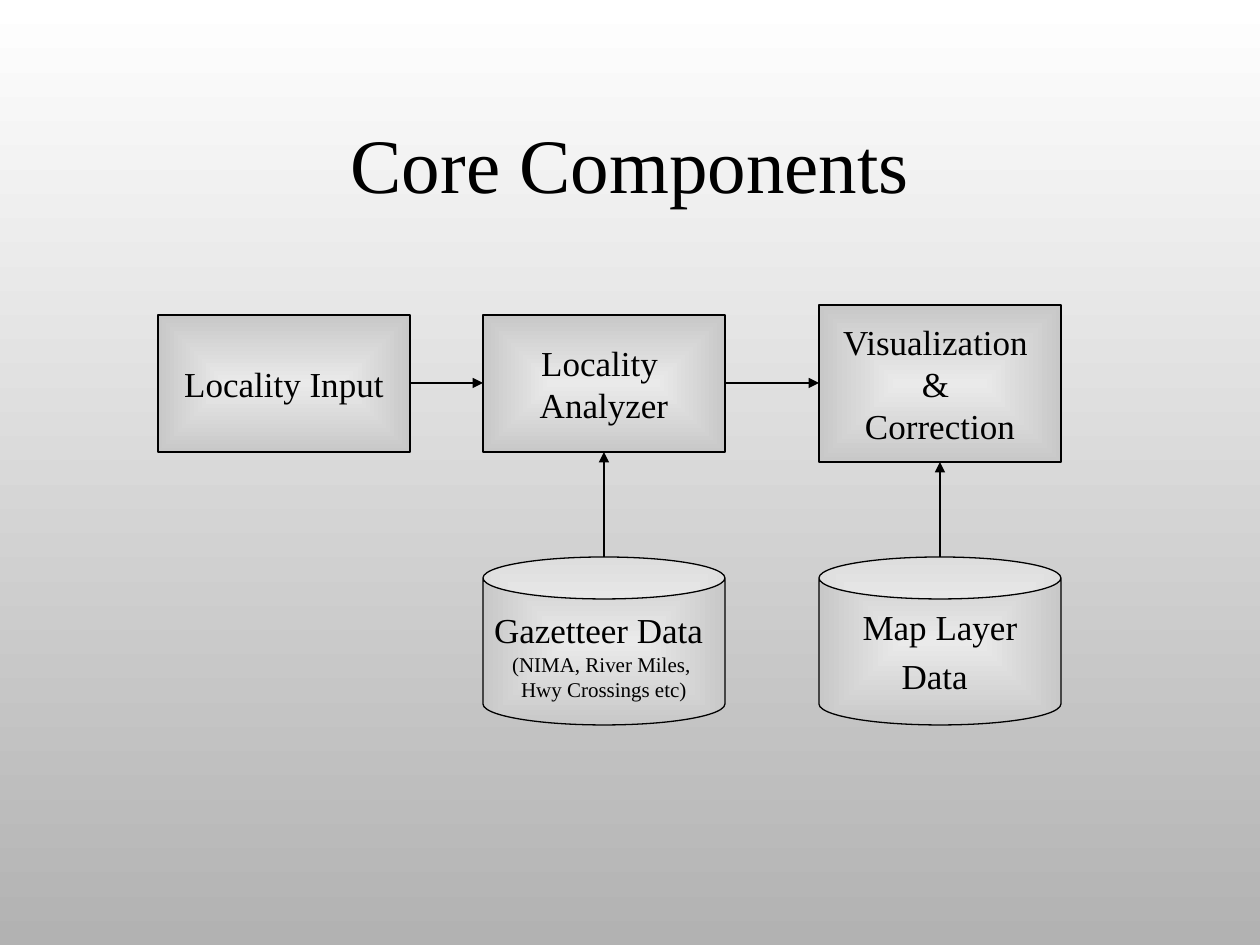
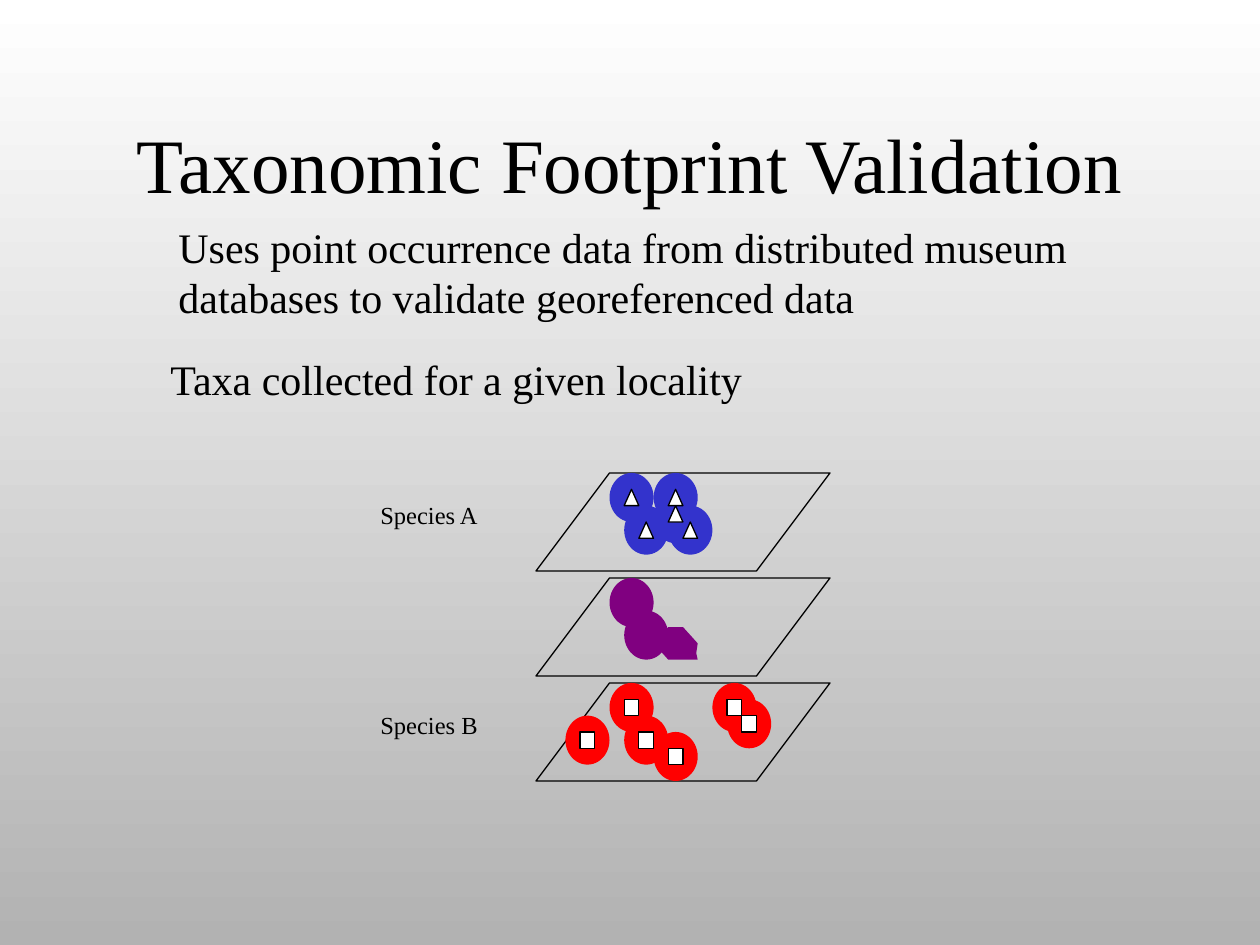
from pptx import Presentation
from pptx.dml.color import RGBColor
from pptx.enum.shapes import MSO_CONNECTOR, MSO_SHAPE as SHAPE
from pptx.enum.text import MSO_ANCHOR as ANCHOR, PP_ALIGN as ALIGN
from pptx.oxml import parse_xml
from pptx.oxml.ns import nsdecls, qn
from pptx.util import Pt

PX = 914400 / 126
FONT = "Times New Roman"
LINE_WIDTH = Pt(0.75)
COLORS = {name: RGBColor.from_string(value) for name, value in {
    "ink": "000000", "white": "FFFFFF", "backdrop": "B2B2B2",
    "box center": "EAEAEA", "box edge": "C8C8C8",
    "species A": "3333CC", "overlap": "800080", "species B": "FF0000",
}.items()}


def write(shape, lines, align=ALIGN.LEFT, anchor=ANCHOR.TOP, wrap=True):
    """Each line is (text, size) or (text, size, size of a trailing space)."""
    frame = shape.text_frame
    frame.word_wrap = wrap
    frame.vertical_anchor = anchor
    for i, (text, size, *space_size) in enumerate(lines):
        paragraph = frame.paragraphs[0] if i == 0 else frame.add_paragraph()
        paragraph.alignment = align
        paragraph.font.name = FONT
        paragraph.font.size = Pt(size)
        paragraph.font.color.rgb = COLORS["ink"]
        paragraph.add_run().text = text
        for points in space_size:
            space = paragraph.add_run()
            space.text = " "
            space.font.size = Pt(points)


def draw(slide, kind, box, fill=None, outlined=True):
    shape = slide.shapes.add_shape(kind, *[round(v * PX) for v in box])
    shape.shadow.inherit = False
    if fill:
        shape.fill.solid()
        shape.fill.fore_color.rgb = COLORS[fill]
    else:
        shape.fill.background()
    if outlined:
        shape.line.color.rgb = COLORS["ink"]
        shape.line.width = LINE_WIDTH
    else:
        shape.line.fill.background()
    return shape


prs = Presentation()
prs.slide_width, prs.slide_height = round(1260 * PX), round(945 * PX)

# Shared backdrop and title
slides = []
for title in ("Core Components", "Taxonomic Footprint Validation"):
    slide = prs.slides.add_slide(prs.slide_layouts[6])
    backdrop = slide.background.fill
    backdrop.gradient()
    backdrop.gradient_angle = 270
    for stop, name in zip(backdrop.gradient_stops, ("white", "backdrop")):
        stop.color.rgb = COLORS[name]
    heading = slide.shapes.add_textbox(*[round(v * PX) for v in (94, 84, 1072, 158)])
    write(heading, [(title, 44)], ALIGN.CENTER, ANCHOR.MIDDLE)
    slides.append(slide)
components, validation = slides

# Slide 1: processing steps and data stores
parts = [
    (SHAPE.RECTANGLE, (483, 315, 242, 137), [("Locality ", 20), ("Analyzer", 20)]),
    (SHAPE.CAN, (483, 557, 242, 168),
     [("Gazetteer Data", 20, 24), ("(NIMA, River Miles, ", 12), ("Hwy Crossings etc)", 12)]),
    (SHAPE.RECTANGLE, (819, 305, 242, 157),
     [("Visualization ", 20), ("& ", 20), ("Correction", 20)]),
    (SHAPE.RECTANGLE, (158, 315, 252, 137), [("Locality Input", 20)]),
    (SHAPE.CAN, (819, 557, 242, 168), [("Map Layer", 20), ("Data", 20, 24)]),
]
for kind, box, lines in parts:
    part = draw(components, kind, box)
    part.fill.gradient()
    for stop, name in zip(part.fill.gradient_stops, ("box center", "box edge")):
        stop.color.rgb = COLORS[name]
    direction = part._element.spPr.find(".//" + qn("a:lin"))
    direction.getparent().replace(direction, parse_xml(
        f'<a:path {nsdecls("a")} path="rect">'
        '<a:fillToRect l="50000" t="50000" r="50000" b="50000"/></a:path>'))
    write(part, lines, ALIGN.CENTER, ANCHOR.MIDDLE, wrap=False)

# Slide 1: arrows
for ends in ((604, 557, 604, 452), (940, 557, 940, 462),
             (410, 383, 483, 383), (725, 383, 819, 383)):
    arrow = components.shapes.add_connector(
        MSO_CONNECTOR.STRAIGHT, *[round(v * PX) for v in ends])
    arrow.line.color.rgb = COLORS["ink"]
    arrow.line.width = LINE_WIDTH
    arrow.line._get_or_add_ln().append(
        parse_xml(f'<a:tailEnd {nsdecls("a")} type="triangle"/>'))
    arrow._element.spPr.append(parse_xml(f'<a:effectLst {nsdecls("a")}/>'))

# Slide 2: statements and species labels
for box, text, size in (
    ((158, 347, 610, 63), "Taxa collected for a given locality", 24),
    ((166, 215, 926, 113), "Uses point occurrence data from distributed museum "
                           "databases to validate georeferenced data", 24),
    ((368, 494, 126, 43), "Species A", 14),
    ((368, 704, 126, 43), "Species B", 14),
):
    statement = validation.shapes.add_textbox(*[round(v * PX) for v in box])
    write(statement, [(text, size)])

# Slide 2: map layers, each a grid of 20 by 6 cells; footprints span 3 by 3
PLANE_LEFT, PLANE_TOP, PLANE_STEP = 536, 473, 105
PLANE_WIDTH, PLANE_HEIGHT = 294, 98
CELL_W, CELL_H = PLANE_WIDTH / 20, PLANE_HEIGHT / 6
layers = [
    ("species A", SHAPE.ISOSCELES_TRIANGLE, [(9, 2), (8, 1.3), (8, 0), (5, 0), (6, 2)]),
    ("overlap", None, [(6, 2), (5, 0)]),
    ("species B", SHAPE.RECTANGLE, [(2, 2), (6, 2), (8, 3), (12, 0), (13, 1), (5, 0)]),
]
# The second species B footprint has its marker at the same relative cell
for i, (color, marker, footprints) in enumerate(layers):
    top = PLANE_TOP + i * PLANE_STEP
    plane = draw(validation, SHAPE.PARALLELOGRAM,
                 (PLANE_LEFT, top, PLANE_WIDTH, PLANE_HEIGHT))
    plane.adjustments[0] = 0.75
    for col, row in footprints:
        draw(validation, SHAPE.OVAL, (PLANE_LEFT + col * CELL_W, top + row * CELL_H,
                                      3 * CELL_W, 3 * CELL_H), color, outlined=False)
    if marker:
        for col, row in footprints:
            draw(validation, marker,
                 (PLANE_LEFT + (col + 1) * CELL_W, top + (int(row) + 1) * CELL_H,
                  CELL_W, CELL_H), "white")

# Slide 2: clipped part of the overlap
corners = [(round((PLANE_LEFT + col * CELL_W) * PX),
            round((PLANE_TOP + PLANE_STEP + row * CELL_H) * PX))
           for col, row in ((9, 5), (11, 5), (10.9, 4.6), (11, 4), (10, 3), (9, 3), (8, 4))]
outline = validation.shapes.build_freeform(*corners[0])
outline.add_line_segments(corners[1:], close=True)
clipped = outline.convert_to_shape()
clipped.shadow.inherit = False
clipped.fill.solid()
clipped.fill.fore_color.rgb = COLORS["overlap"]
clipped.line.fill.background()

prs.save("out.pptx")
